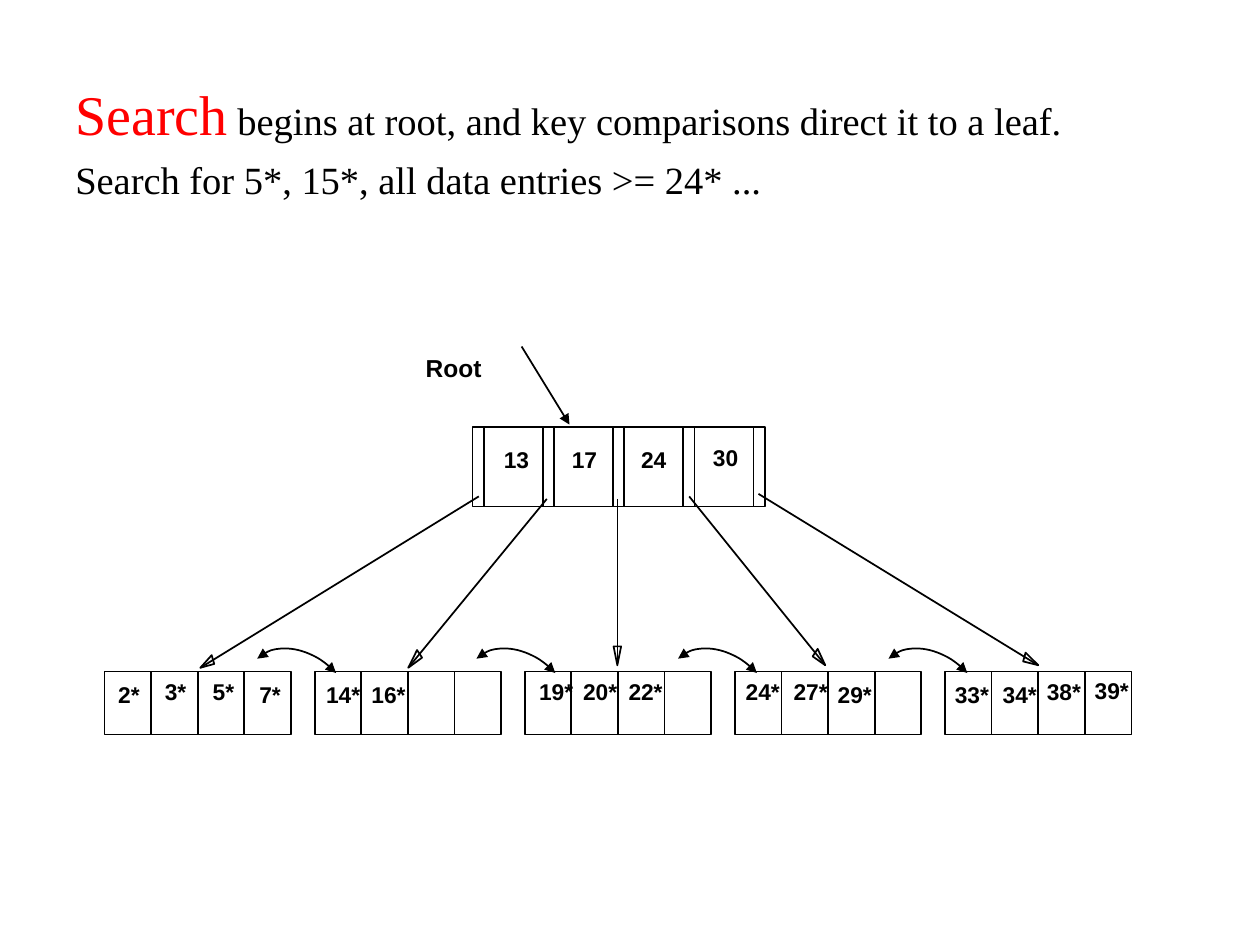
from lxml.etree import SubElement
from pptx import Presentation
from pptx.dml.color import RGBColor
from pptx.enum.shapes import MSO_CONNECTOR, MSO_SHAPE
from pptx.enum.text import MSO_AUTO_SIZE
from pptx.oxml.ns import qn
from pptx.util import Inches, Pt

BODY = {"name": "Times New Roman", "size": Pt(22)}
KEYWORD = {"name": "Times New Roman", "size": Pt(32)}
LABEL = {"name": "Arial", "size": Pt(13), "bold": True}
CAPTION = {**LABEL, "size": Pt(14)}

ROOT_LEFT, ROOT_TOP, ROOT_HEIGHT = 3.75, 3.39, 0.63
ROOT_PITCH = (5.98 - ROOT_LEFT) / 4
SLOT = 0.09
LEAF_LEFT, LEAF_TOP, LEAF_HEIGHT = 0.83, 5.33, 0.5
LEAF_PITCH = (7.5 - LEAF_LEFT) / 4
LEAF_CELL = 0.37

ROOT_KEYS = [("13", 3.9, 3.49), ("17", 4.44, 3.49), ("24", 4.99, 3.49), ("30", 5.56, 3.47)]
LEAF_ENTRIES = [
    ("2*", 0.84, 5.35), ("3*", 1.21, 5.33), ("5*", 1.59, 5.33), ("7*", 1.96, 5.35),
    ("14*", 2.49, 5.35), ("16*", 2.85, 5.35),
    ("19*", 4.18, 5.33), ("20*", 4.53, 5.33), ("22*", 4.89, 5.33),
    ("24*", 5.82, 5.33), ("27*", 6.2, 5.33), ("29*", 6.55, 5.35),
    ("33*", 7.48, 5.35), ("34*", 7.86, 5.35), ("38*", 8.21, 5.33), ("39*", 8.59, 5.32),
]
POINTERS = [
    ((3.8, 3.94), (1.59, 5.3), (1.7, 5.27), (1.68, 5.2)),
    ((4.34, 3.96), (3.24, 5.3), (3.35, 5.22), (3.31, 5.16)),
    ((4.9, 3.96), (4.9, 5.28), (4.93, 5.13), (4.87, 5.13)),
    ((5.47, 3.94), (6.55, 5.28), (6.49, 5.15), (6.45, 5.21)),
    ((6.02, 3.92), (8.24, 5.28), (8.14, 5.18), (8.12, 5.25)),
]
SIBLING_CENTERS = [2.39, 4.13, 5.73, 7.4]


def rgb(value):
    return RGBColor.from_string(value)


class Diagram:
    ink = "000000"
    accent = "FF0000"
    line_width = Pt(1)

    def __init__(self, slide):
        self.s = slide

    def stroke(self, sp, ends=()):
        sp.line.color.rgb = rgb(self.ink)
        sp.line.width = self.line_width
        ln = sp.line._get_or_add_ln()
        for end in ends:
            SubElement(ln, qn(f"a:{end}"), type="triangle")

    def outline(self, sp, ends=()):
        sp.shadow.inherit = False
        sp.fill.background()
        self.stroke(sp, ends)

    def cell(self, left, top, width, height):
        sp = self.s.shapes.add_shape(
            MSO_SHAPE.RECTANGLE, *map(Inches, (left, top, width, height)))
        self.outline(sp)

    def line(self, start, end, ends=()):
        sp = self.s.shapes.add_connector(
            MSO_CONNECTOR.STRAIGHT, *map(Inches, (*start, *end)))
        self.stroke(sp, ends)
        SubElement(sp._element.spPr, qn("a:effectLst"))

    def pointer(self, start, tip, *base):
        self.line(start, tip)
        points = [tuple(map(Inches, point)) for point in (tip, *base)]
        builder = self.s.shapes.build_freeform(*points[0])
        builder.add_line_segments(points[1:], close=True)
        self.outline(builder.convert_to_shape())

    def sibling_link(self, x, y, rx, ry):
        sp = self.s.shapes.add_shape(
            MSO_SHAPE.ARC, *map(Inches, (x - rx, y - ry, 2 * rx, 2 * ry)))
        sp.rotation = 317
        self.outline(sp, ("headEnd", "tailEnd"))

    def run(self, p, text, style, color=None):
        r = p.add_run()
        r.text = text
        for name, value in style.items():
            setattr(r.font, name, value)
        r.font.color.rgb = rgb(color or self.ink)

    def label(self, text, left, top, width, height=0.31, style=LABEL):
        sp = self.s.shapes.add_textbox(*map(Inches, (left, top, width, height)))
        tf = sp.text_frame
        tf.word_wrap = False
        tf.auto_size = MSO_AUTO_SIZE.SHAPE_TO_FIT_TEXT
        self.run(tf.paragraphs[0], text, style)

    def paragraphs(self, box, lines):
        tf = self.s.shapes.add_textbox(*map(Inches, box)).text_frame
        tf.word_wrap = True
        for i, runs in enumerate(lines):
            p = tf.add_paragraph() if i else tf.paragraphs[0]
            p.space_before = Pt(5.5)
            pPr = p._p.get_or_add_pPr()
            pPr.set("marL", str(Inches(0.38)))
            pPr.set("indent", str(-Inches(0.38)))
            for run in runs:
                self.run(p, *run)


def main():
    prs = Presentation()
    prs.slide_width, prs.slide_height = Inches(10), Inches(7.5)
    d = Diagram(prs.slides.add_slide(prs.slide_layouts[6]))

    d.paragraphs((0.5, 0.58, 8.83, 1.08), [
        [("Search", KEYWORD, d.accent),
         (" begins at root, and key comparisons direct it to a leaf.", BODY)],
        [("Search for 5*, 15*, all data entries >= 24* ...", BODY)],
    ])

    for i in range(4):
        left = ROOT_LEFT + i * ROOT_PITCH
        d.cell(left, ROOT_TOP, ROOT_PITCH, ROOT_HEIGHT)
        d.line((left + SLOT, ROOT_TOP), (left + SLOT, ROOT_TOP + ROOT_HEIGHT))
    d.cell(ROOT_LEFT + 4 * ROOT_PITCH, ROOT_TOP, SLOT, ROOT_HEIGHT)

    for leaf in range(5):
        for i in range(4):
            left = LEAF_LEFT + leaf * LEAF_PITCH + i * LEAF_CELL
            d.cell(left, LEAF_TOP, LEAF_CELL, LEAF_HEIGHT)

    for pointer in POINTERS:
        d.pointer(*pointer)

    d.label("Root", 3.28, 2.75, 0.7, 0.33, CAPTION)
    for text, left, top in ROOT_KEYS + LEAF_ENTRIES:
        d.label(text, left, top, 0.47 if len(text) == 3 else 0.4 if text.isdigit() else 0.37)

    d.line((4.14, 2.75), (4.52, 3.37), ("tailEnd",))
    for x in SIBLING_CENTERS:
        d.sibling_link(x, 5.6, 0.38, 0.51)

    prs.save("out.pptx")


if __name__ == "__main__":
    main()
